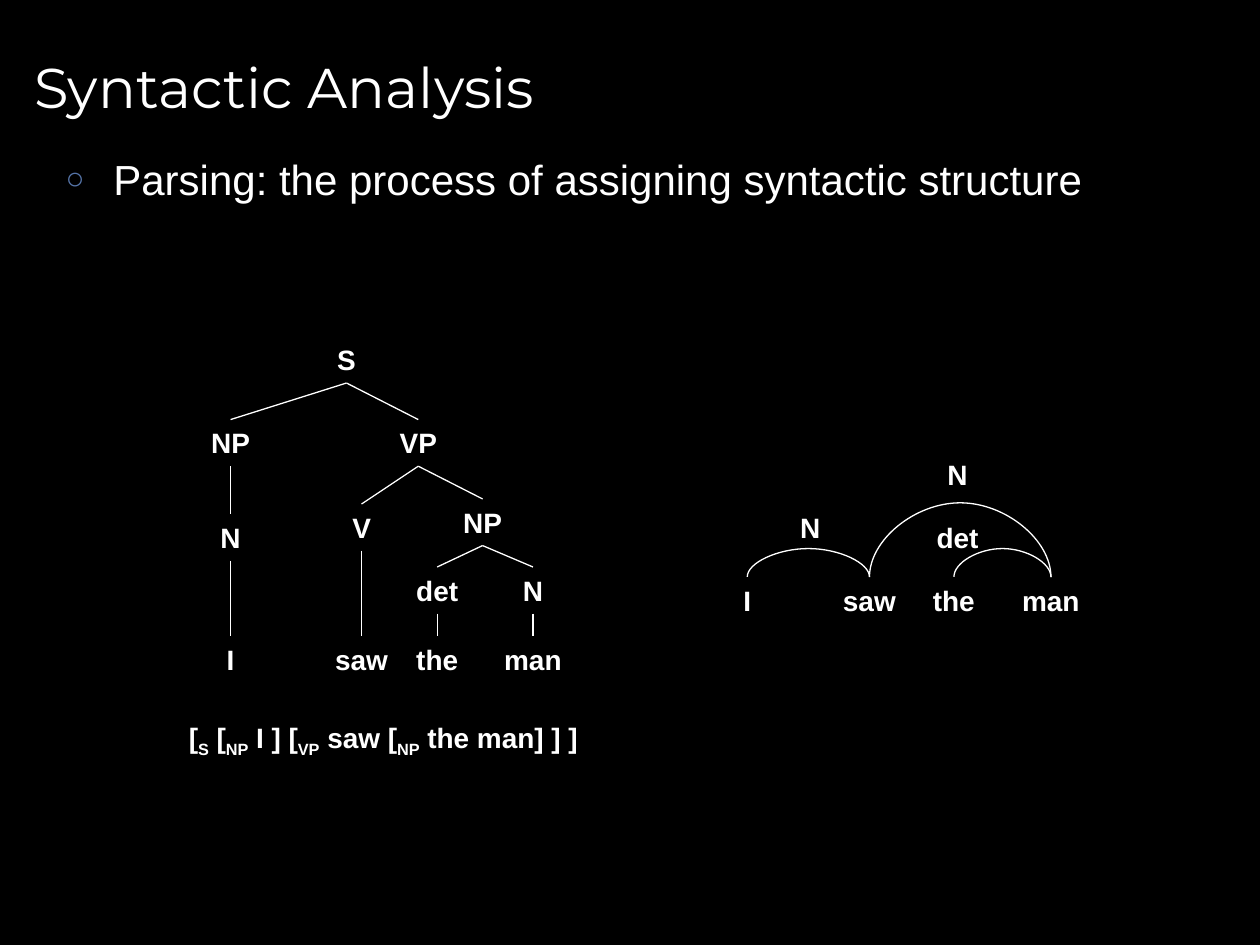
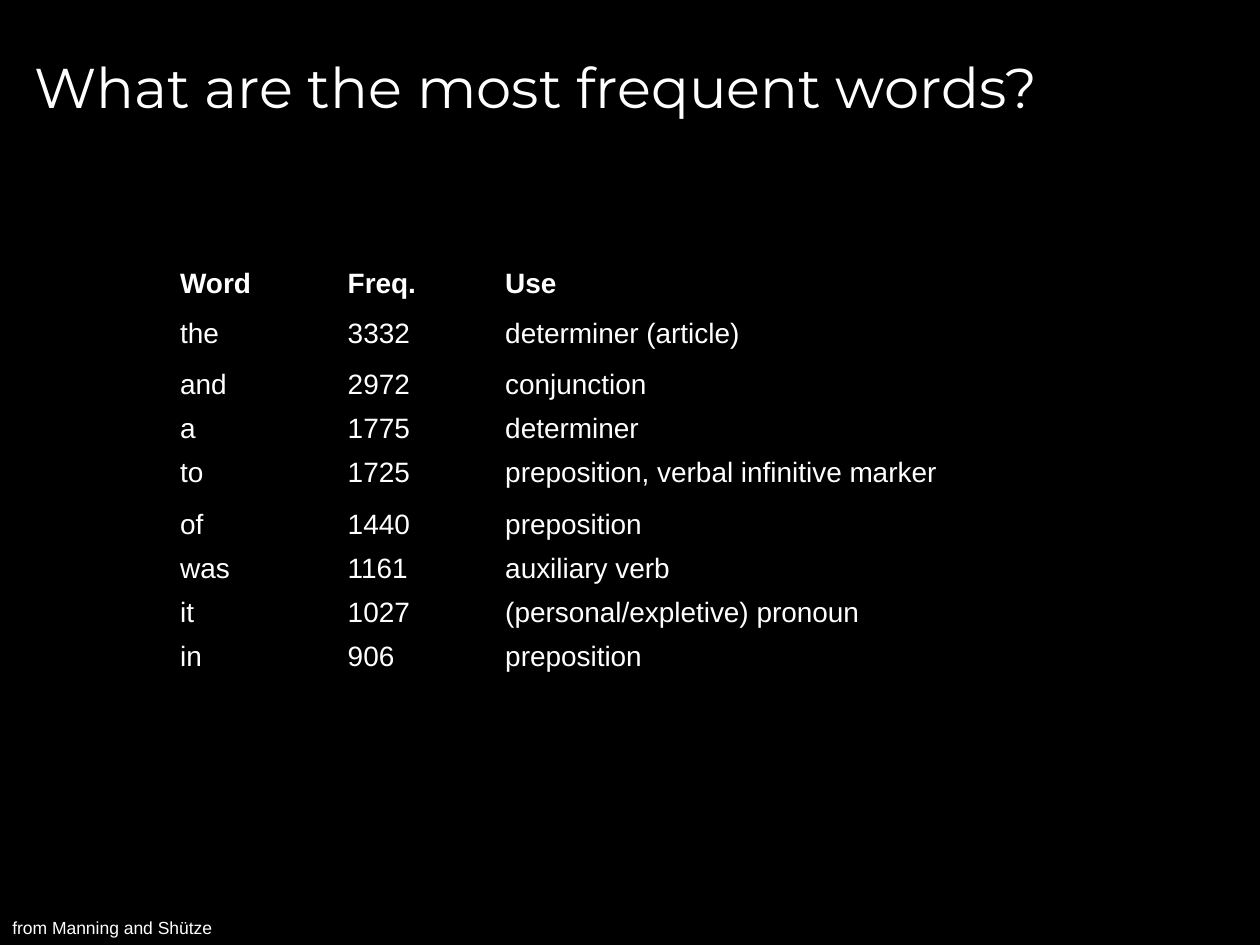
from dataclasses import dataclass

from lxml.etree import SubElement
from pptx import Presentation
from pptx.dml.color import RGBColor
from pptx.enum.shapes import MSO_CONNECTOR as Link
from pptx.enum.text import MSO_ANCHOR as Anchor, MSO_AUTO_SIZE as Fit, PP_ALIGN as Align
from pptx.oxml.ns import qn
from pptx.util import Emu, Inches, Pt


@dataclass(frozen=True)
class Theme:
    paper: str = "000000"
    ink: str = "FFFFFF"
    bullet: str = "5675A9"
    heading_font: str = "Montserrat"
    text_font: str = "Arial"
    heading_size: int = 32
    body_size: int = 24
    label_size: int = 16
    credit_size: int = 10
    hairline: float = 0.75


THEME = Theme()

# Content: slide 1
PARSING_TITLE = "Syntactic Analysis"
PARSING_POINT = "Parsing: the process of assigning syntactic structure"
# Each tree node: key -> (label, centre column, top, parent key)
TREE_COLUMNS = {"subject": 1.83, "root": 2.75, "verb": 2.87, "predicate": 3.32,
                "det": 3.47, "object": 3.83, "noun": 4.23}
WORD_ROW, CATEGORY_ROW, PHRASE_ROW = 5.05, 4.5, 3.33
TREE = {
    "S": ("S", "root", 2.67, None),
    "subject NP": ("NP", "subject", PHRASE_ROW, "S"),
    "VP": ("VP", "predicate", PHRASE_ROW, "S"),
    "object NP": ("NP", "object", 3.96, "VP"),
    "object N": ("N", "noun", CATEGORY_ROW, "object NP"),
    "det": ("det", "det", CATEGORY_ROW, "object NP"),
    "V": ("V", "verb", 4.0, "VP"),
    "subject N": ("N", "subject", 4.08, "subject NP"),
    "I": ("I", "subject", WORD_ROW, "subject N"),
    "saw": ("saw", "verb", WORD_ROW, "V"),
    "the": ("the", "det", WORD_ROW, "det"),
    "man": ("man", "noun", WORD_ROW, "object N"),
}
BRACKETING = [("[", False), ("S", True), (" [", False), ("NP", True), (" I ] [", False),
              ("VP", True), (" saw [", False), ("NP", True), (" the man] ] ]", False)]
SENTENCE_TOP = 4.58
SENTENCE = {"I": 5.93, "saw": 6.9, "the": 7.57, "man": 8.34}
# Each dependency: label, first word, second word, rise, label centre, label top
DEPENDENCIES = [("N", "I", "saw", 0.25, 6.43, 4.0),
                ("N", "saw", "man", 0.65, 7.6, 3.58),
                ("det", "the", "man", 0.25, 7.6, 4.08)]
LABEL_WIDTHS = {"S": 0.35, "NP": 0.51, "VP": 0.5, "N": 0.36, "V": 0.35, "det": 0.54,
                "I": 0.27, "saw": 0.63, "the": 0.54, "man": 0.66}
LABEL_HEIGHT = 0.37

# Content: slide 2
WORDS_TITLE = "What are the most frequent words?"
WORD_COUNTS = [
    ("Word", "Freq.", "Use"),
    ("the", "3332", "determiner (article)"),
    ("and", "2972", "conjunction"),
    ("a", "1775", "determiner"),
    ("to", "1725", "preposition, verbal inﬁnitive marker"),
    ("of", "1440", "preposition"),
    ("was", "1161", "auxiliary verb"),
    ("it", "1027", "(personal/expletive) pronoun"),
    ("in", "906", "preposition"),
]
COLUMN_WIDTHS = (1.33, 1.25, 5.08)
ROW_HEIGHT, TALL_ROWS = 0.35, {0: 0.4, 1: 0.4, 4: 0.41}
CREDIT = "from Manning and Shütze"
NO_GRID_STYLE = "{2D5ABB26-0587-4C30-8999-92F81FD0307C}"


# Shared styling
def style(paragraph, size, bold=False, family=THEME.text_font):
    font = paragraph.font
    font.name, font.size, font.bold = family, Pt(size), bold
    font.color.rgb = RGBColor.from_string(THEME.ink)


def place(shape, left, top, width, height):
    shape.left, shape.top, shape.width, shape.height = map(Inches, (left, top, width, height))


def titled_slide(deck, layout, title):
    slide = deck.slides.add_slide(deck.slide_layouts[layout])
    heading = slide.shapes.title
    place(heading, 0.17, 0.12, 9.5, 1.12)
    heading.text_frame.text = title
    heading.text_frame.vertical_anchor = Anchor.MIDDLE
    line = heading.text_frame.paragraphs[0]
    line.alignment = Align.LEFT
    style(line, THEME.heading_size, family=THEME.heading_font)
    return slide


def add_label(slide, runs, left, top, width, height=LABEL_HEIGHT,
              size=THEME.label_size, bold=True, align=Align.CENTER):
    box = slide.shapes.add_textbox(*map(Inches, (left, top, width, height)))
    frame = box.text_frame
    frame.word_wrap, frame.auto_size = False, Fit.SHAPE_TO_FIT_TEXT
    line = frame.paragraphs[0]
    line.alignment = align
    for words, lowered in runs:
        run = line.add_run()
        run.text = words
        if lowered:
            run.font._element.set("baseline", "-25000")
    style(line, size, bold)
    return box


def add_node(slide, label, centre, top):
    width = LABEL_WIDTHS[label]
    return add_label(slide, [(label, False)], centre - width / 2, top, width)


def add_line(slide, kind, *ends):
    line = slide.shapes.add_connector(kind, *ends)
    line.line.color.rgb = RGBColor.from_string(THEME.ink)
    line.line.width = Pt(THEME.hairline)
    SubElement(line._element.spPr, qn("a:effectLst"))
    return line


def add_arc(slide, start, end, base, rise):
    """Curved connector turned on its side, bulging upwards by rise."""
    depth = Emu(1588)
    middle, half = Inches((start + end) / 2), Inches((end - start) / 2)
    arc = add_line(slide, Link.CURVE, middle, Inches(base) - half,
                   middle + depth, Inches(base) + half)
    frame = arc._element.spPr.find(qn("a:xfrm"))
    frame.set("rot", "16200000")
    frame.set("flipV", "1")
    guides = arc._element.spPr.find(qn("a:prstGeom")).get_or_add_avLst()
    bulge = round(Inches(rise) / depth * 100000)
    SubElement(guides, qn("a:gd"), name="adj1", fmla=f"val {bulge}")


def add_bullet(paragraph):
    props = paragraph._p.get_or_add_pPr()
    props.set("marL", str(Inches(0.38)))
    props.set("indent", str(-Inches(0.38)))
    tint = SubElement(props, qn("a:buClr"))
    SubElement(tint, qn("a:srgbClr"), val=THEME.bullet)
    SubElement(props, qn("a:buSzPct"), val="75000")
    SubElement(props, qn("a:buFont"), typeface=THEME.text_font)
    SubElement(props, qn("a:buChar"), char="○")


# Slide 1: parse tree and dependency arcs
def parsing_slide(deck):
    slide = titled_slide(deck, 1, PARSING_TITLE)
    body = slide.placeholders[1]
    place(body, 0.42, 1.17, 9.25, 5.58)
    body.text_frame.text = PARSING_POINT
    point = body.text_frame.paragraphs[0]
    add_bullet(point)
    point.space_before = Pt(0)
    style(point, THEME.body_size)

    nodes = {}
    for key, (label, column, top, parent) in TREE.items():
        nodes[key] = add_node(slide, label, TREE_COLUMNS[column], top)
    for key, (_, _, _, parent) in TREE.items():
        if parent:
            branch = add_line(slide, Link.STRAIGHT, 0, 0, 0, 0)
            branch.begin_connect(nodes[parent], 2)
            branch.end_connect(nodes[key], 0)
    add_label(slide, BRACKETING, 1.4, 5.67, 3.43, align=Align.LEFT)

    for word, centre in SENTENCE.items():
        add_node(slide, word, centre, SENTENCE_TOP)
    for label, first, second, rise, centre, top in DEPENDENCIES:
        add_arc(slide, SENTENCE[first], SENTENCE[second], SENTENCE_TOP, rise)
        add_node(slide, label, centre, top)


# Slide 2: word frequency table
def words_slide(deck):
    slide = titled_slide(deck, 5, WORDS_TITLE)
    heights = [TALL_ROWS.get(row, ROW_HEIGHT) for row in range(len(WORD_COUNTS))]
    holder = slide.shapes.add_table(
        len(WORD_COUNTS), len(COLUMN_WIDTHS),
        *map(Inches, (1.33, 2.08, sum(COLUMN_WIDTHS), sum(heights))))
    table = holder.table
    table.first_row = table.horz_banding = False
    table._tbl.tblPr.find(qn("a:tableStyleId")).text = NO_GRID_STYLE
    for column, width in zip(table.columns, COLUMN_WIDTHS):
        column.width = Inches(width)
    for row, height in zip(table.rows, heights):
        row.height = Inches(height)
    for r, entry in enumerate(WORD_COUNTS):
        for c, words in enumerate(entry):
            cell = table.cell(r, c)
            cell.fill.background()
            cell.text = words
            style(cell.text_frame.paragraphs[0], THEME.label_size, bold=r == 0)
    add_label(slide, [(CREDIT, False)], 0, 7.23, 1.8, 0.27,
              THEME.credit_size, bold=False, align=Align.LEFT)


def main():
    deck = Presentation()
    deck.slide_width, deck.slide_height = Inches(10), Inches(7.5)
    backdrop = deck.slide_master.background.fill
    backdrop.solid()
    backdrop.fore_color.rgb = RGBColor.from_string(THEME.paper)
    parsing_slide(deck)
    words_slide(deck)
    deck.save("out.pptx")


if __name__ == "__main__":
    main()
